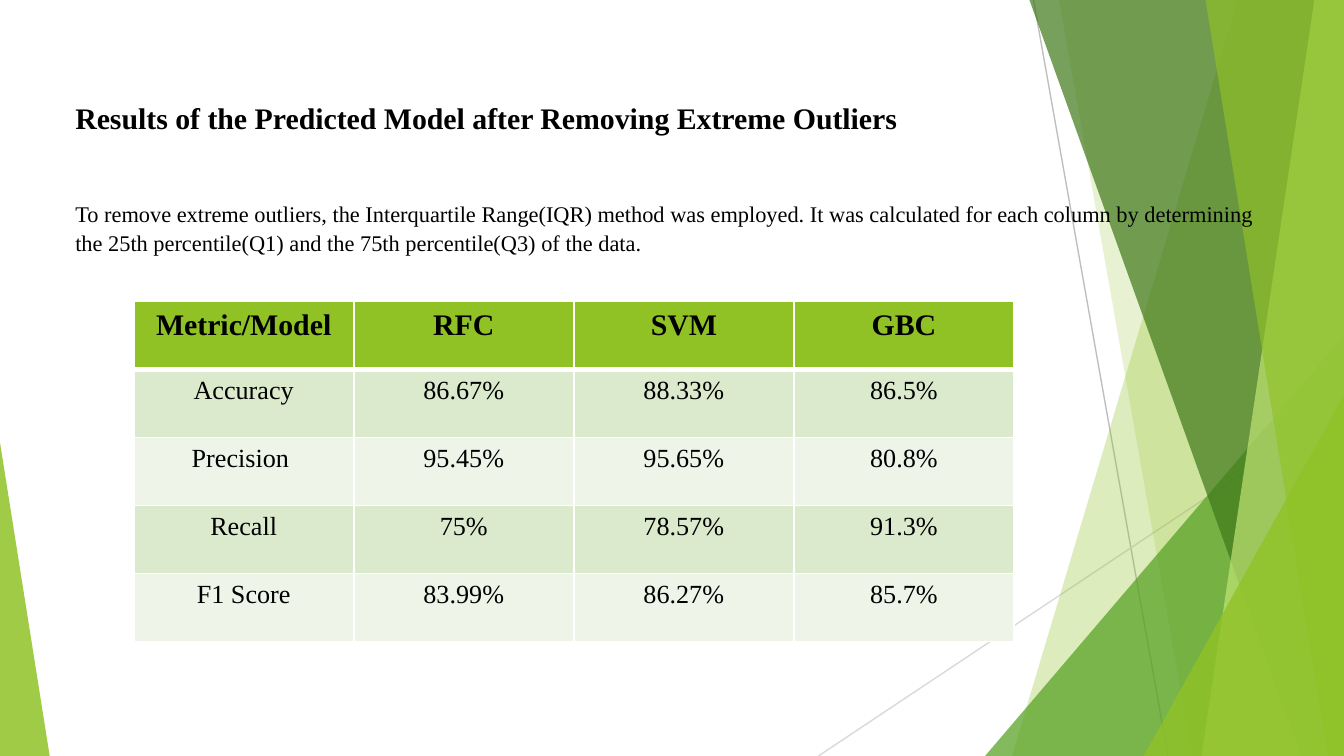
from dataclasses import dataclass

from lxml.etree import SubElement
from pptx import Presentation
from pptx.dml.color import RGBColor
from pptx.enum.shapes import MSO_CONNECTOR, MSO_SHAPE
from pptx.enum.text import MSO_ANCHOR, PP_ALIGN
from pptx.oxml.ns import qn
from pptx.util import Inches, Pt


@dataclass(frozen=True)
class Theme:
    font: str = "Times New Roman"
    text: str = "000000"
    white: str = "FFFFFF"
    lime: str = "90C226"
    green: str = "54A021"
    forest: str = "3F7819"
    pale_lime: str = "C0E474"
    band_dark: str = "DBE9CD"
    band_light: str = "EEF4E8"
    line_dark: str = "BFBFBF"
    line_light: str = "D9D9D9"
    title_size: int = 16
    cell_size: int = 14
    body_size: int = 12


THEME = Theme()
WIDTH, HEIGHT = Inches(10), Inches(5.625)

RESULTS = [
    ["Metric/Model", "RFC", "SVM", "GBC"],
    ["Accuracy", "86.67%", "88.33%", "86.5%"],
    ["Precision ", "95.45%", "95.65%", "80.8%"],
    ["Recall", "75%", "78.57%", "91.3%"],
    ["F1 Score", "83.99%", "86.27%", "85.7%"],
]


def across(percent):
    return round(WIDTH * percent / 100)


def down(percent):
    return round(HEIGHT * percent / 100)


def area(left, top, width, height):
    return across(left), down(top), across(width), down(height)


def color(value):
    return RGBColor.from_string(value)


def paint(shape, fill, opacity):
    shape.shadow.inherit = False
    shape.line.fill.background()
    shape.fill.solid()
    shape.fill.fore_color.rgb = color(fill)
    solid = shape.fill._xPr.find(qn("a:solidFill"))
    SubElement(solid[0], qn("a:alpha"), val=str(opacity * 1000))


def add_thin_line(slide, start, end, stroke):
    line = slide.shapes.add_connector(
        MSO_CONNECTOR.STRAIGHT, across(start[0]), down(start[1]), across(end[0]), down(end[1])
    )
    line.line.color.rgb = color(stroke)
    line.line.width = Pt(0.75)
    SubElement(line._element.spPr, qn("a:effectLst"))


def add_right_panel(slide, top_x, bottom_x, fill, opacity):
    builder = slide.shapes.build_freeform(across(top_x), 0)
    corners = [(WIDTH, 0), (WIDTH, HEIGHT), (across(bottom_x), HEIGHT)]
    builder.add_line_segments(corners, close=True)
    paint(builder.convert_to_shape(), fill, opacity)


def add_corner_triangle(slide, left, top, width, apex, fill, opacity):
    shape = slide.shapes.add_shape(
        MSO_SHAPE.ISOSCELES_TRIANGLE, *area(left, top, width, 100 - top)
    )
    shape.adjustments[0] = apex
    paint(shape, fill, opacity)


def add_run(paragraph, text, size, bold=False):
    run = paragraph.add_run()
    run.text = text
    run.font.name = THEME.font
    run.font.size = Pt(size)
    run.font.bold = bold
    run.font.color.rgb = color(THEME.text)


def add_explanation(slide):
    frame = slide.shapes.add_textbox(*area(3.4, 11.2, 93.2, 77.5)).text_frame
    frame.word_wrap = True
    frame.vertical_anchor = MSO_ANCHOR.TOP
    frame.margin_left = Inches(0.22)
    frame.margin_top = frame.margin_right = frame.margin_bottom = Inches(0.1)
    title = frame.paragraphs[0]
    add_run(title, "Results of the Predicted Model after Removing Extreme Outliers",
            THEME.title_size, True)
    body = frame.add_paragraph()
    body.space_before = Pt(34)
    add_run(body, "To remove extreme outliers, the Interquartile Range(IQR) method was employed. "
            "It was calculated for each column by determining the 25th percentile(Q1) "
            "and the 75th percentile(Q3) of the data.", THEME.body_size)
    for paragraph in (title, body):
        paragraph.line_spacing = 1.05


def add_border(cell, side, width):
    border = SubElement(cell._tc.get_or_add_tcPr(), qn(f"a:ln{side}"), w=str(Pt(width)))
    fill = SubElement(border, qn("a:solidFill"))
    SubElement(fill, qn("a:srgbClr"), val=THEME.white)


def fill_cell(cell, text, row):
    header = row == 0
    top = 3 if row == 1 else 1
    bottom = 3 if header else 1
    for side, width in zip("LRTB", (1, 1, top, bottom)):
        add_border(cell, side, width)
    band = THEME.band_dark if row % 2 else THEME.band_light
    cell.fill.solid()
    cell.fill.fore_color.rgb = color(THEME.lime if header else band)
    paragraph = cell.text_frame.paragraphs[0]
    paragraph.alignment = PP_ALIGN.CENTER
    add_run(paragraph, text, THEME.title_size if header else THEME.cell_size, header)


def add_results_table(slide):
    table = slide.shapes.add_table(
        len(RESULTS), len(RESULTS[0]), *area(9.95, 39.9, 65.5, 45)
    ).table
    table.first_row = table.horz_banding = False
    for row, values in enumerate(RESULTS):
        for column, text in enumerate(values):
            fill_cell(table.cell(row, column), text, row)


def add_decoration(slide):
    add_thin_line(slide, (76.9, 0), (86.9, 100), THEME.line_dark)
    add_thin_line(slide, (100, 53.7), (60.9, 100), THEME.line_light)
    add_right_panel(slide, 92.1, 75.3, THEME.lime, 30)
    add_right_panel(slide, 78.8, 88.7, THEME.lime, 20)
    add_corner_triangle(slide, 73.3, 44.4, 26.7, 1, THEME.green, 72)
    add_right_panel(slide, 76.6, 96.8, THEME.forest, 70)
    add_right_panel(slide, 97.8, 89.4, THEME.pale_lime, 70)
    add_right_panel(slide, 89.7, 98.8, THEME.lime, 65)
    add_corner_triangle(slide, 85.1, 52.3, 14.9, 1, THEME.lime, 80)
    add_corner_triangle(slide, 0, 58.5, 3.7, 0, THEME.lime, 85)


def main():
    presentation = Presentation()
    presentation.slide_width, presentation.slide_height = WIDTH, HEIGHT
    slide = presentation.slides.add_slide(presentation.slide_layouts[6])
    add_decoration(slide)
    add_explanation(slide)
    add_results_table(slide)
    presentation.save("out.pptx")


if __name__ == "__main__":
    main()
